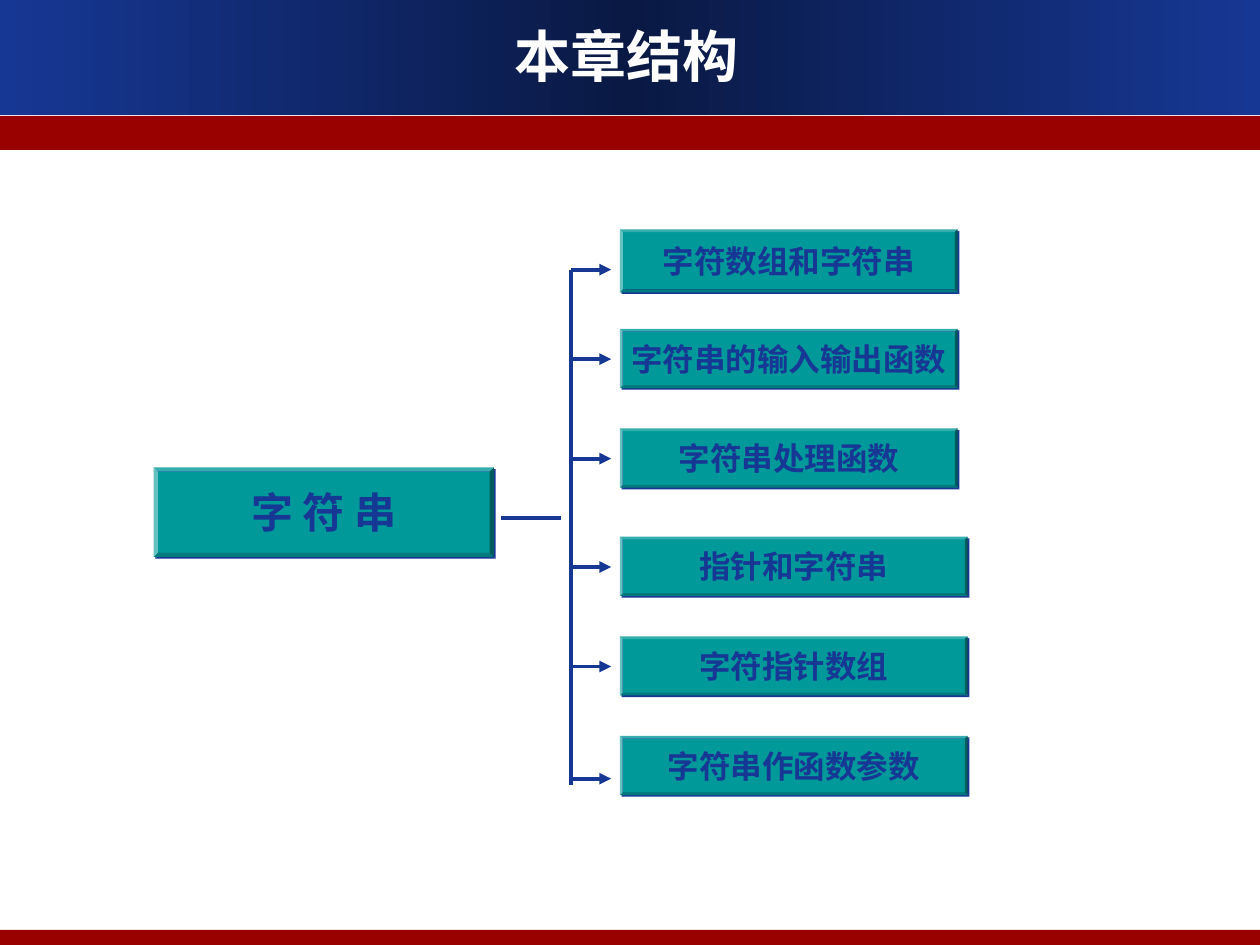
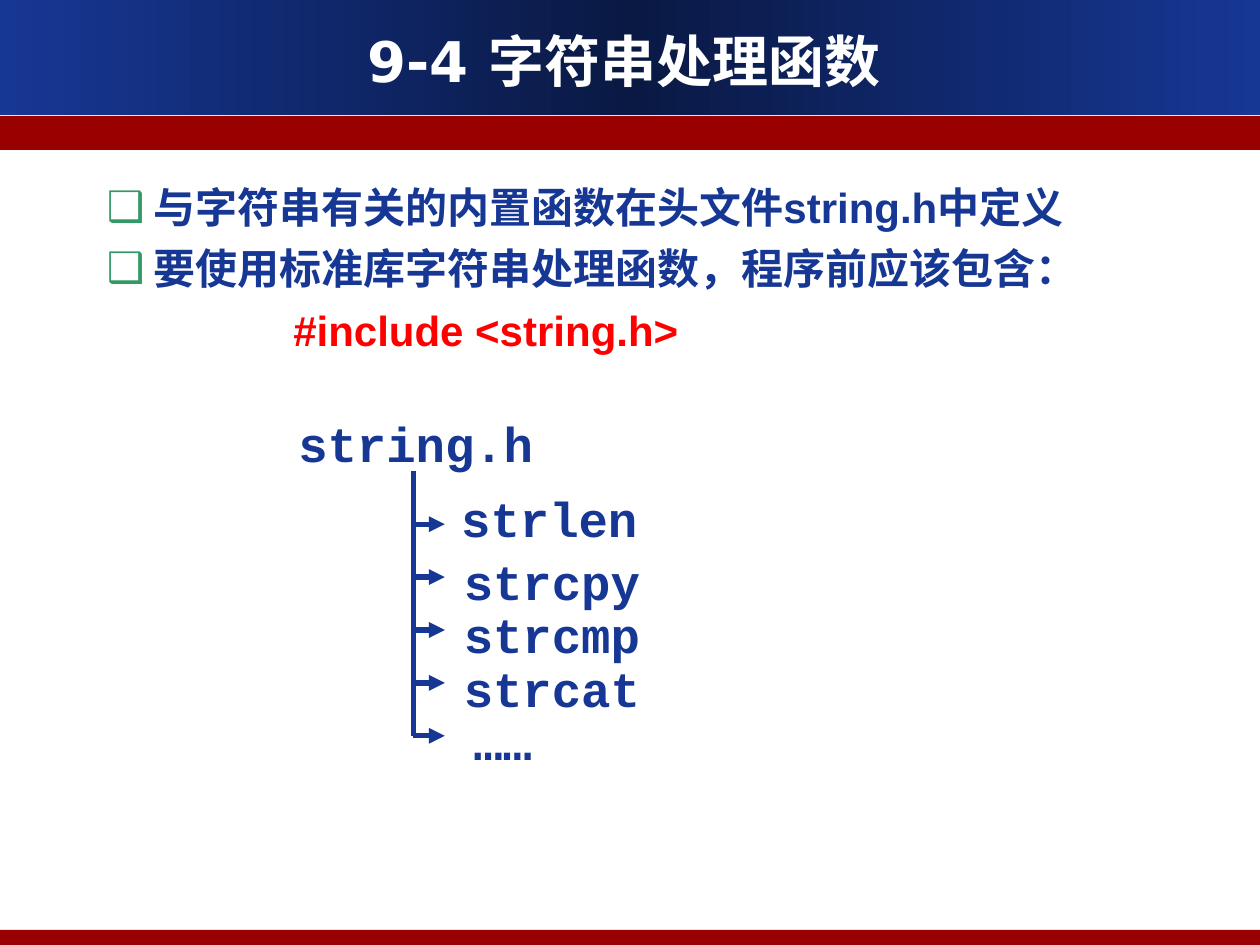
from lxml import etree
from pptx import Presentation
from pptx.dml.color import RGBColor
from pptx.enum.dml import MSO_THEME_COLOR
from pptx.enum.shapes import MSO_CONNECTOR, MSO_SHAPE
from pptx.enum.text import MSO_ANCHOR, MSO_AUTO_SIZE, PP_ALIGN
from pptx.oxml import parse_xml
from pptx.oxml.ns import nsdecls, qn
from pptx.util import Inches, Pt

NAVY = RGBColor(0x16, 0x37, 0x94)
DARK_NAVY = RGBColor(0x0A, 0x19, 0x44)
CRIMSON = RGBColor(0x99, 0x00, 0x00)
TEAL = RGBColor(0x00, 0x99, 0x99)
GREEN = RGBColor(0x33, 0x99, 0x66)
RED = RGBColor(0xFF, 0x00, 0x00)
WHITE = RGBColor(0xFF, 0xFF, 0xFF)

CJK_FONT = "Noto Sans CJK SC"
TITLE_FONT = "DejaVu Sans"
BODY_FONT = "Arial"
CODE_FONT = "Courier New"

RECT, BEVEL = MSO_SHAPE.RECTANGLE, MSO_SHAPE.BEVEL
STRAIGHT = MSO_CONNECTOR.STRAIGHT
LEFT, CENTER = PP_ALIGN.LEFT, PP_ALIGN.CENTER
TOP, MIDDLE = MSO_ANCHOR.TOP, MSO_ANCHOR.MIDDLE
NO_AUTOFIT = MSO_AUTO_SIZE.NONE


def write(frame, text, size=18, font=CJK_FONT, color=NAVY, align=CENTER,
          anchor=MIDDLE, wrap=False, before=0, new=False):
    """Write one bold paragraph into a text frame and return it."""
    frame.word_wrap = wrap
    frame.auto_size = NO_AUTOFIT
    frame.vertical_anchor = anchor
    paragraph = frame.add_paragraph() if new else frame.paragraphs[0]
    paragraph.alignment = align
    paragraph.space_before = Pt(before)
    run = paragraph.add_run()
    run.text = text
    run.font.size = Pt(size)
    run.font.bold = True
    run.font.color.rgb = color
    run.font.name = font
    east_asian = etree.SubElement(run._r.get_or_add_rPr(), qn("a:ea"))
    east_asian.set("typeface", CJK_FONT)
    return paragraph


def draw_line(slide, x1, y1, x2, y2, weight, arrow=False):
    """Draw a navy line, with an arrowhead at its end if asked."""
    line = slide.shapes.add_connector(
        STRAIGHT, Inches(x1), Inches(y1), Inches(x2), Inches(y2))
    line.line.color.rgb = NAVY
    line.line.width = Pt(weight)
    if arrow:
        head = etree.SubElement(line.line._get_or_add_ln(), qn("a:tailEnd"))
        head.set("type", "triangle")
    etree.SubElement(line._element.spPr, qn("a:effectLst"))


prs = Presentation()
prs.slide_width, prs.slide_height = Inches(10), Inches(7.5)
layout = prs.slide_layouts[5]
structure = prs.slides.add_slide(layout)
functions = prs.slides.add_slide(layout)

# Bands shared by both slides, placed on the layout behind everything else
for position, (top, height) in enumerate([(0, 0.91), (0.92, 0.27), (7.38, 0.12)]):
    band = structure.shapes.add_shape(
        RECT, 0, Inches(top), prs.slide_width, Inches(height))
    band.shadow.inherit = False
    band.line.fill.background()
    if position == 0:
        band.fill.gradient()
        band.fill.gradient_angle = 0
        stops = band.fill.gradient_stops
        for stop, color in zip(stops, (NAVY, NAVY)):
            stop.color.theme_color = MSO_THEME_COLOR.ACCENT_1
            stop.color.rgb = color
        middle = parse_xml(
            f'<a:gs {nsdecls("a")} pos="50000"><a:srgbClr val="{DARK_NAVY}"/></a:gs>')
        band._element.spPr.find(".//" + qn("a:gsLst")).insert(1, middle)
    else:
        band.fill.solid()
        band.fill.fore_color.rgb = CRIMSON
    layout.shapes.element.insert(2 + position, band._element)

# Titles
for slide, text, left, top in [(structure, "本章结构", 0.35, 0.12),
                               (functions, "9-4 字符串处理函数", 0.33, 0.16)]:
    title = slide.shapes.title
    title.left, title.top = Inches(left), Inches(top)
    title.width, title.height = Inches(9.25), Inches(0.63)
    frame = title.text_frame
    frame.margin_left = frame.margin_right = 0
    frame.margin_top = frame.margin_bottom = 0
    write(frame, text, size=32, font=TITLE_FONT, color=WHITE, wrap=True)

# Slide 1: chapter box and its topics: text, left, top, width, height, size, arrow y
TRUNK_X = 4.53
TOPIC_X = 4.92
boxes = [
    ("字 符 串", 1.22, 3.71, 2.7, 0.71, 24, None),
    ("字符数组和字符串", TOPIC_X, 1.82, 2.68, 0.5, 18, 2.14),
    ("字符串的输入输出函数", TOPIC_X, 2.61, 2.68, 0.47, 18, 2.85),
    ("字符串处理函数", TOPIC_X, 3.4, 2.68, 0.47, 18, 3.64),
    ("指针和字符串", TOPIC_X, 4.26, 2.76, 0.47, 18, 4.5),
    ("字符指针数组", TOPIC_X, 5.05, 2.76, 0.47, 18, 5.29),
    ("字符串作函数参数", TOPIC_X, 5.84, 2.76, 0.47, 18, 6.18),
]
for text, left, top, width, height, size, arrow_y in boxes:
    box = structure.shapes.add_shape(
        BEVEL, Inches(left), Inches(top), Inches(width), Inches(height))
    box.adjustments[0] = 0.047
    box.fill.solid()
    box.fill.fore_color.rgb = TEAL
    box.line.fill.background()
    box.shadow.inherit = False
    box._element.spPr.find(qn("a:effectLst")).append(parse_xml(
        f'<a:outerShdw {nsdecls("a")} dist="{Pt(1.4)}" dir="2700000">'
        f'<a:srgbClr val="{NAVY}"/></a:outerShdw>'))
    write(box.text_frame, text, size=size, before=size * 0.62)
    if arrow_y:
        draw_line(structure, TRUNK_X, arrow_y, 4.85, arrow_y, 2.25, arrow=True)
draw_line(structure, TRUNK_X, 2.14, TRUNK_X, 6.23, 2.25)
draw_line(structure, 3.98, 4.11, 4.45, 4.11, 2.25)

# Slide 2: introduction
intro = functions.shapes.add_textbox(
    Inches(0.75), Inches(1.39), Inches(8.5), Inches(1.65)).text_frame
intro_lines = [
    ("与字符串有关的内置函数在头文件string.h中定义", NAVY, True),
    ("要使用标准库字符串处理函数，程序前应该包含：", NAVY, True),
    ("#include <string.h>", RED, False),
]
for number, (text, color, bulleted) in enumerate(intro_lines):
    paragraph = write(intro, text, size=24, font=BODY_FONT, color=color, align=LEFT,
                      anchor=TOP, wrap=True, before=6, new=number > 0)
    paragraph.line_spacing = Pt(29)
    properties = paragraph._p.get_or_add_pPr()
    properties.set("marL", str(Inches(0.37 if bulleted else 1.48)))
    properties.set("indent", str(Inches(-0.37 if bulleted else 0)))
    if bulleted:
        bullet_color = etree.SubElement(properties, qn("a:buClr"))
        etree.SubElement(bullet_color, qn("a:srgbClr")).set("val", str(GREEN))
        etree.SubElement(properties, qn("a:buFont")).set("typeface", TITLE_FONT)
        etree.SubElement(properties, qn("a:buChar")).set("char", "❑")

# Slide 2: header file and its functions
code_labels = [
    ("string.h", 2.27, 3.23, 2.06),
    ("strlen", 3.56, 3.83, 1.6),
    ("strcpy", 3.58, 4.33, 1.6),
    ("strcmp", 3.58, 4.75, 1.6),
    ("strcat", 3.58, 5.18, 1.6),
    ("……", 3.66, 5.6, 0.66),
]
for text, left, top, width in code_labels:
    label = functions.shapes.add_textbox(
        Inches(left), Inches(top), Inches(width), Inches(0.57))
    write(label.text_frame, text, size=28, font=CODE_FONT, anchor=TOP)

STEM_X, STEM_TOP, STEP = 3.28, 3.74, 0.42
for branch in range(len(code_labels) - 1):
    start = STEM_TOP + branch * STEP
    end = start + STEP
    draw_line(functions, STEM_X, start, STEM_X, end, 3)
    draw_line(functions, STEM_X, end, 3.53, end, 3, arrow=True)

prs.save("out.pptx")
